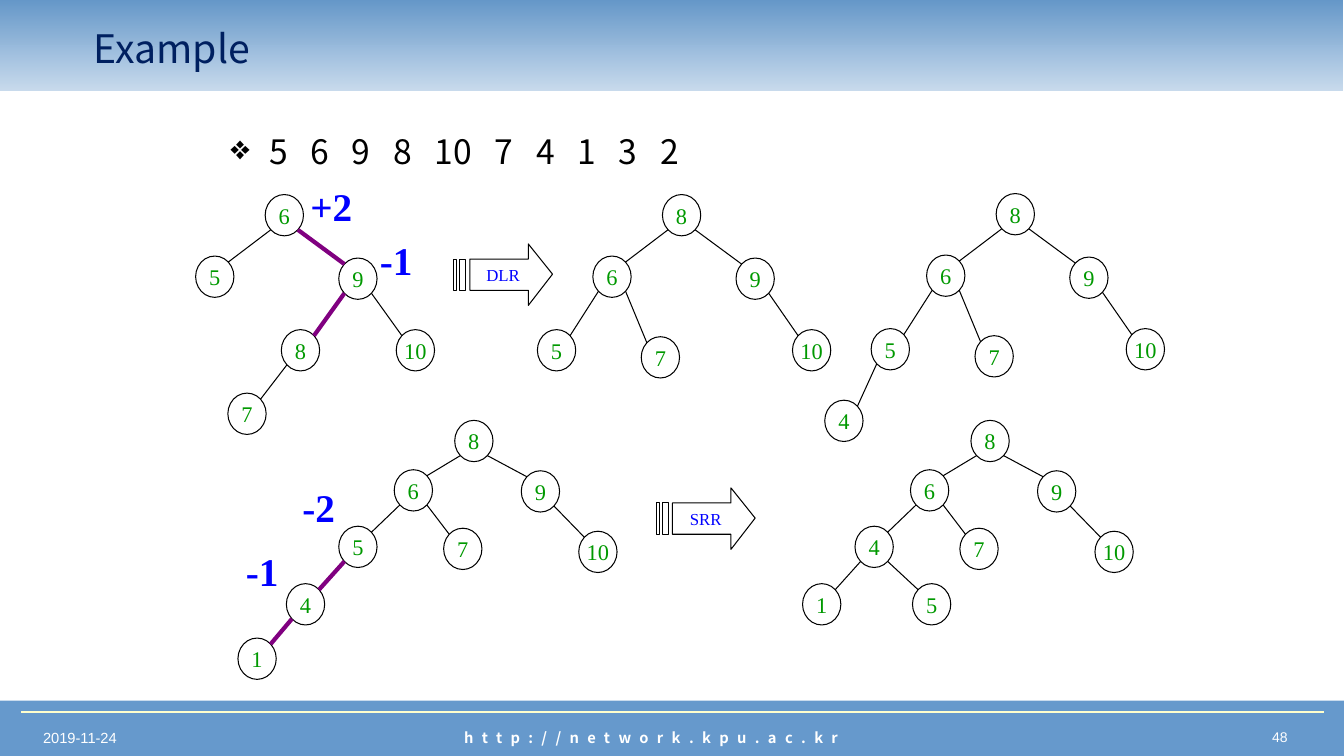
from dataclasses import dataclass

from lxml.etree import SubElement
from pptx import Presentation
from pptx.dml.color import RGBColor
from pptx.enum.shapes import MSO_CONNECTOR, MSO_SHAPE
from pptx.enum.text import MSO_ANCHOR, PP_ALIGN
from pptx.oxml.ns import qn
from pptx.shapes.autoshape import Shape
from pptx.shapes.connector import Connector
from pptx.shapes.shapetree import GroupShapes, SlideShapes
from pptx.text.text import TextFrame, _Paragraph as Paragraph
from pptx.util import Inches, Pt

WHITE = RGBColor(0xFF, 0xFF, 0xFF)
BLACK = RGBColor(0x00, 0x00, 0x00)
BAND_BLUE = RGBColor(0x66, 0x99, 0xCC)
BAND_DEEP = RGBColor(0x64, 0x97, 0xC9)
CREAM = RGBColor(0xFF, 0xFF, 0xCC)
NAVY = RGBColor(0x00, 0x20, 0x60)
BLUE = RGBColor(0x00, 0x00, 0xFF)
GREEN = RGBColor(0x00, 0x99, 0x00)
PURPLE = RGBColor(0x80, 0x00, 0x80)

ARIAL = "Arial"
NOTO = "Noto Sans CJK KR"
TIMES = "Times New Roman"

NODE_WIDTH, NODE_HEIGHT = 0.38, 0.41
DIAGONAL = 0.146  # share of an ellipse's box outside its 45-degree point


@dataclass
class Node:
    value: str
    dx: float  # offset from the root
    dy: float
    parent: str = ""
    heavy: bool = False  # thick purple edge to the parent


@dataclass
class Balance:
    text: str
    left: float
    top: float
    width: float = 0.53


@dataclass
class Tree:
    left: float
    top: float
    nodes: list[Node]
    balances: list[Balance]


@dataclass
class Rotation:
    text: str
    left: float
    top: float


UPPER = [Node("8", 0, 0), Node("6", -0.69, 0.61, "8"), Node("9", 0.73, 0.63, "8"),
         Node("5", -1.24, 1.34, "6"), Node("10", 1.29, 1.34, "9"),
         Node("7", -0.21, 1.41, "6")]
LOWER = [Node("8", 0, 0), Node("6", -0.6, 0.49, "8"), Node("9", 0.66, 0.5, "8"),
         Node("10", 1.23, 1.1, "9"), Node("7", -0.11, 1.07, "6")]
TREES = [
    Tree(2.63, 1.93,
         [Node("6", 0, 0), Node("5", -0.69, 0.61, "6"), Node("9", 0.73, 0.63, "6", True),
          Node("8", 0.16, 1.34, "9", True), Node("10", 1.3, 1.34, "9"),
          Node("7", -0.37, 1.97, "8")],
         [Balance("-1", 3.67, 2.3), Balance("+2", 2.98, 1.76, 0.62)]),
    Tree(6.57, 1.93, UPPER, []),
    Tree(9.88, 1.92, UPPER + [Node("4", -1.7, 2.05, "5")], []),
    Tree(4.51, 4.17,
         LOWER + [Node("5", -1.15, 1.05, "6"), Node("4", -1.67, 1.62, "5", True),
                  Node("1", -2.15, 2.16, "4", True)],
         [Balance("-2", 2.9, 4.75), Balance("-1", 2.34, 5.38)]),
    Tree(9.63, 4.17,
         LOWER + [Node("4", -1.15, 1.05, "6"), Node("1", -1.67, 1.62, "4"),
                  Node("5", -0.58, 1.62, "4")], []),
]
ROTATIONS = [Rotation("DLR", 4.5, 2.42), Rotation("SRR", 6.51, 4.84)]
ARROW_PARTS = [
    [(0.74, 0), (0.74, 0.15), (0.16, 0.15), (0.16, 0.46), (0.74, 0.46), (0.74, 0.61),
     (0.98, 0.3)],
    [(0.06, 0.15), (0.06, 0.46), (0.12, 0.46), (0.12, 0.15)],
    [(0, 0.15), (0, 0.46), (0.03, 0.46), (0.03, 0.15)],
]
KEYS = ["5", "6", "9", "8", "10", "7", "4", "1", "3", "2"]


def write(frame: TextFrame, text: str, name: str, size: float, color: RGBColor,
          bold: bool = False, align: PP_ALIGN = PP_ALIGN.LEFT) -> Paragraph:
    paragraph = frame.paragraphs[0]
    paragraph.text = text
    paragraph.alignment = align
    font = paragraph.font
    font.name, font.size, font.bold = name, Pt(size), bold
    font.color.rgb = color
    return paragraph


def add_text(shapes: SlideShapes | GroupShapes, left: float, top: float, width: float,
             height: float, wrap: bool = True) -> TextFrame:
    box = shapes.add_textbox(Inches(left), Inches(top), Inches(width), Inches(height))
    box.text_frame.word_wrap = wrap
    return box.text_frame


def add_line(shapes: SlideShapes | GroupShapes, start: tuple[float, float],
             end: tuple[float, float], color: RGBColor, width: float) -> Connector:
    line = shapes.add_connector(MSO_CONNECTOR.STRAIGHT, Inches(start[0]), Inches(start[1]),
                                Inches(end[0]), Inches(end[1]))
    line.line.color.rgb = color
    line.line.width = Pt(width)
    SubElement(line._element.spPr, qn("a:effectLst"))
    return line


def add_band(shapes: SlideShapes, left: float, top: float, height: float) -> Shape:
    band = shapes.add_shape(MSO_SHAPE.RECTANGLE, Inches(left), Inches(top),
                            Inches(13.33), Inches(height))
    band.shadow.inherit = False
    band.line.fill.background()
    return band


def outline(shape: Shape) -> None:
    shape.shadow.inherit = False
    shape.line.color.rgb = BLACK
    shape.line.width = Pt(0.75)
    shape.text_frame.vertical_anchor = MSO_ANCHOR.MIDDLE


def add_tree(shapes: SlideShapes, tree: Tree) -> None:
    group = shapes.add_group_shape().shapes
    corners = {node.value: (tree.left + node.dx, tree.top + node.dy) for node in tree.nodes}
    for node in tree.nodes:
        left, top = corners[node.value]
        circle = group.add_shape(MSO_SHAPE.OVAL, Inches(left), Inches(top),
                                 Inches(NODE_WIDTH), Inches(NODE_HEIGHT))
        outline(circle)
        circle.fill.background()
        circle.text_frame.word_wrap = False
        write(circle.text_frame, node.value, TIMES, 16, GREEN, align=PP_ALIGN.CENTER)
        if node.parent:
            parent_left, parent_top = corners[node.parent]
            near, far = DIAGONAL * NODE_WIDTH, (1 - DIAGONAL) * NODE_WIDTH
            leave, arrive = (near, far) if left < parent_left else (far, near)
            add_line(group,
                     (parent_left + leave, parent_top + (1 - DIAGONAL) * NODE_HEIGHT),
                     (left + arrive, top + DIAGONAL * NODE_HEIGHT),
                     PURPLE if node.heavy else BLACK, 3 if node.heavy else 0.75)
    for balance in tree.balances:
        frame = add_text(group, balance.left, balance.top, balance.width, 0.57, wrap=False)
        write(frame, balance.text, TIMES, 28, BLUE, bold=True)


def add_rotation(shapes: SlideShapes, rotation: Rotation) -> None:
    parts = [[(Inches(rotation.left + x), Inches(rotation.top + y)) for x, y in part]
             for part in ARROW_PARTS]
    builder = shapes.build_freeform(*parts[0][0])
    builder.add_line_segments(parts[0][1:])
    for part in parts[1:]:
        builder.move_to(*part[0])
        builder.add_line_segments(part[1:])
    arrow = builder.convert_to_shape()
    outline(arrow)
    arrow.fill.solid()
    arrow.fill.fore_color.rgb = WHITE
    write(arrow.text_frame, rotation.text, TIMES, 12, BLUE, align=PP_ALIGN.CENTER)


def add_keys(shapes: SlideShapes) -> None:
    paragraph = write(add_text(shapes, 2.19, 1.25, 9.12, 0.83), "\t".join(KEYS),
                      NOTO, 24, BLACK)
    properties = paragraph._p.get_or_add_pPr()
    properties.set("marL", str(Inches(0.38)))
    properties.set("indent", str(-Inches(0.38)))
    bullet = properties.makeelement(qn("a:buChar"), {"char": "❖"})
    tabs = properties.makeelement(qn("a:tabLst"), {})
    position = 0.38
    for key in KEYS[:-1]:
        position += 0.6 if len(key) == 2 else 0.41
        SubElement(tabs, qn("a:tab"), pos=str(Inches(position)), algn="l")
    properties.insert(0, bullet)
    properties.insert(1, tabs)


def main() -> None:
    presentation = Presentation()
    presentation.slide_width, presentation.slide_height = Inches(13.33), Inches(7.5)
    slide = presentation.slides.add_slide(presentation.slide_layouts[5])
    shapes = slide.shapes

    # Footer
    footer = add_band(shapes, 0, 6.95, 0.55)
    footer.fill.solid()
    footer.fill.fore_color.rgb = BAND_BLUE
    write(add_text(shapes, 0.33, 7.18, 3.57, 0.28), "2019-11-24", ARIAL, 10.5, WHITE)
    write(add_text(shapes, 9.9, 7.18, 2.97, 0.28), "48", ARIAL, 10, WHITE,
          align=PP_ALIGN.RIGHT)
    address = write(add_text(shapes, 3.02, 7.18, 6.88, 0.28), "http://network.kpu.ac.kr",
                    NOTO, 10.5, WHITE, bold=True, align=PP_ALIGN.CENTER)
    address._p.pPr.find(qn("a:defRPr")).set("spc", "600")
    add_line(shapes, (0.21, 7.06), (13.13, 7.06), CREAM, 1.5)

    # Header band and title
    header = add_band(shapes, -0.01, 0, 0.9)
    header.fill.gradient()
    header.fill.gradient_angle = 90
    for stop, color in zip(header.fill.gradient_stops, (BAND_BLUE, BAND_DEEP)):
        stop.color.rgb = color
    SubElement(next(header._element.iter(qn("a:srgbClr"))), qn("a:alpha"), val="35000")
    title = shapes.title
    title.left, title.top = Inches(0.83), Inches(0.16)
    title.width, title.height = Inches(11.25), Inches(0.62)
    title.text_frame.vertical_anchor = MSO_ANCHOR.MIDDLE
    write(title.text_frame, "Example", NOTO, 28, NAVY)
    shapes._spTree.append(title._element)  # bring in front of the band

    # Keys, trees and rotations
    add_keys(shapes)
    for tree in TREES:
        add_tree(shapes, tree)
    for rotation in ROTATIONS:
        add_rotation(shapes, rotation)
    presentation.save("out.pptx")


if __name__ == "__main__":
    main()
